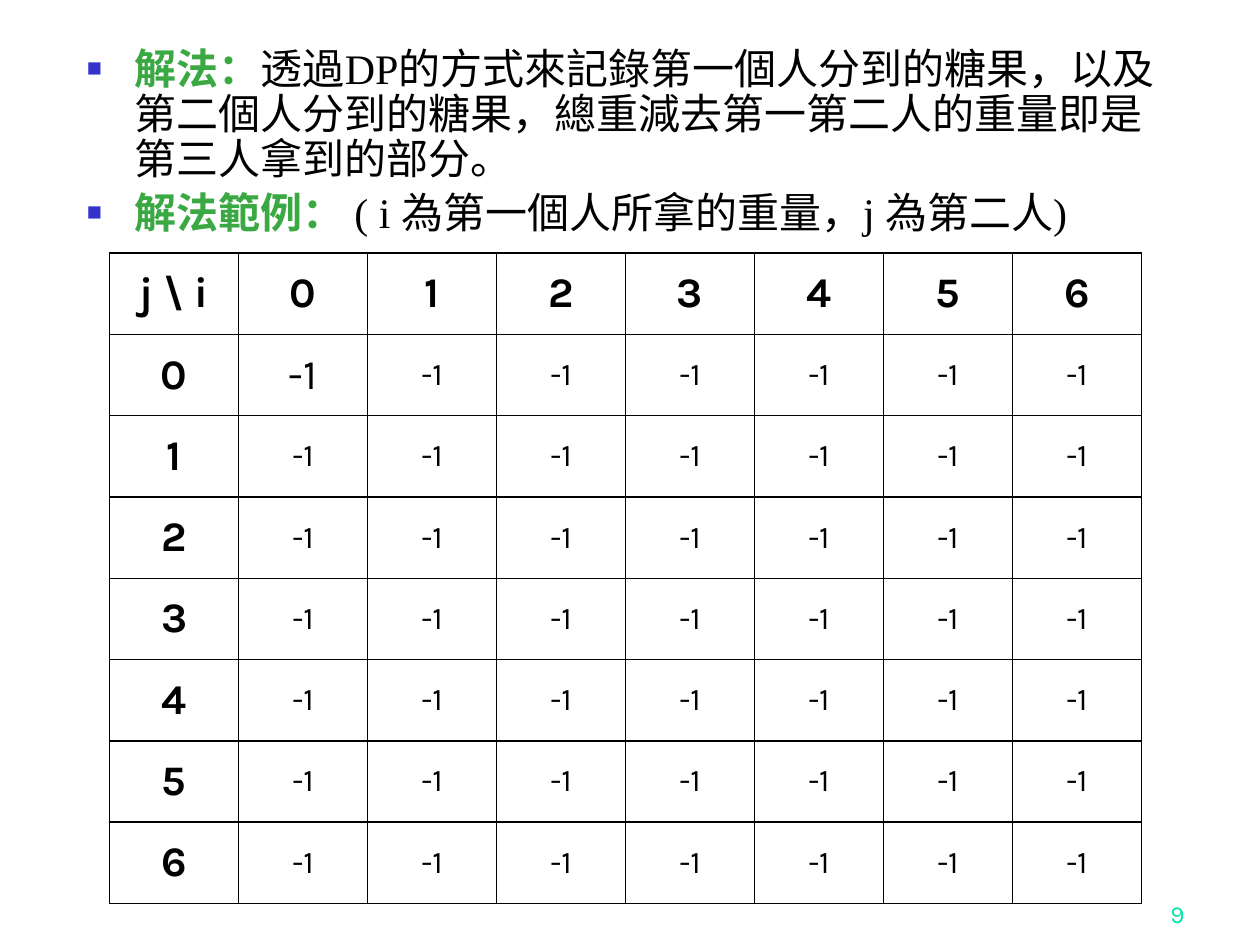
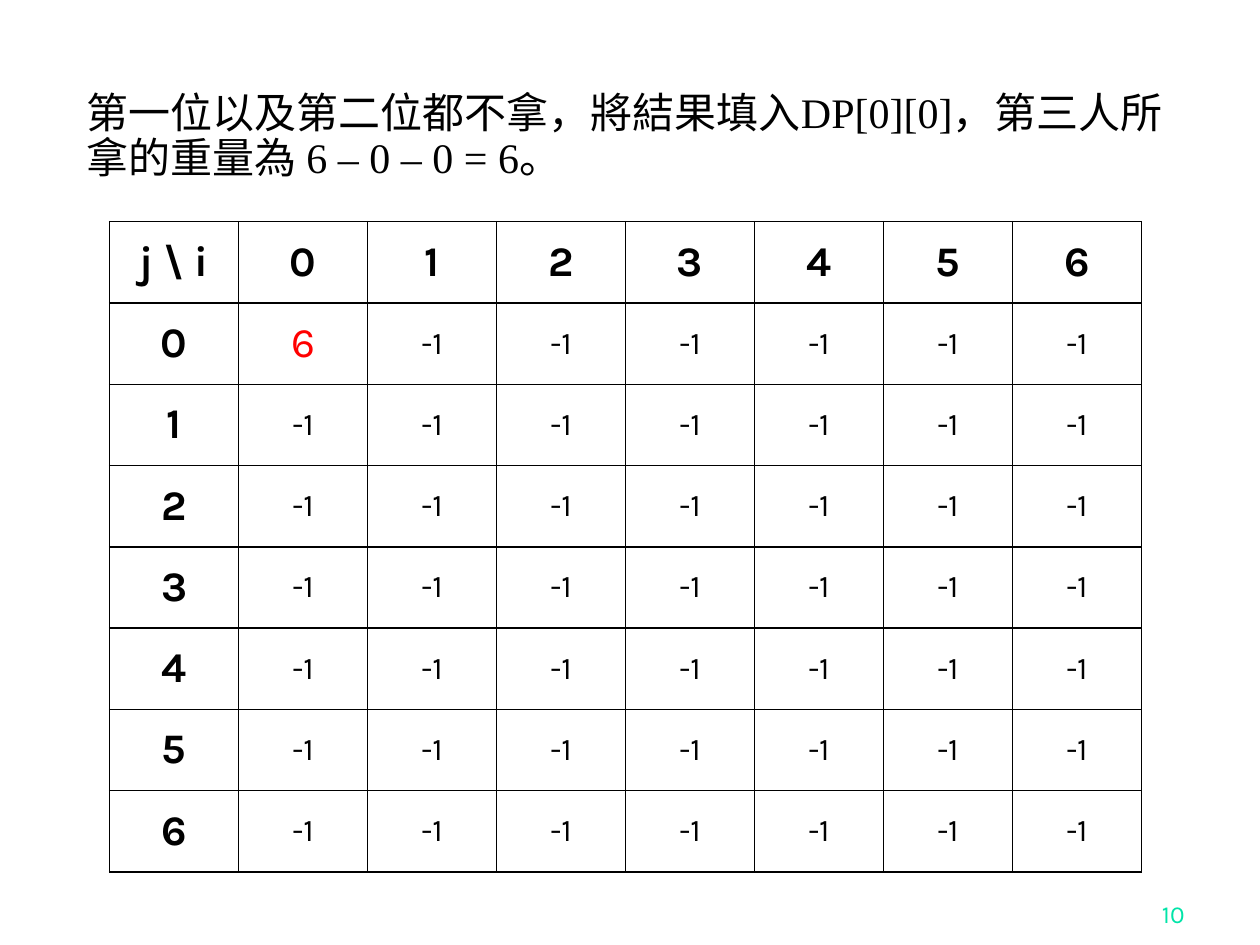
from lxml.etree import SubElement
from pptx import Presentation
from pptx.dml.color import RGBColor
from pptx.enum.text import MSO_ANCHOR, MSO_AUTO_SIZE, PP_ALIGN
from pptx.oxml import parse_xml
from pptx.oxml.ns import nsdecls, qn
from pptx.util import Inches, Pt

COLORS = {
    "text": "000000",
    "paper": "FFFFFF",
    "heading": "3BA943",
    "bullet": "3333CC",
    "page": "00E4A8",
    "result": "FF0000",
}
BODY_FONT, TABLE_FONT = "Times New Roman", "Karla"
BODY_SIZE, CELL_SIZE, PAGE_SIZE = 24, 18, 14

# Slide grid: 100 columns by 75 rows of square units
SLIDE_WIDTH, SLIDE_HEIGHT = Inches(10), Inches(7.5)
UNIT = SLIDE_WIDTH / 100
BODY_LEFT, BODY_WIDTH, BODY_BOTTOM = 5.9, 87.4, 67.5
TABLE_LEFT, TABLE_WIDTH, TABLE_HEIGHT = 8.7, 81.9, 51.6
PAGE_BOX = (74.2, 69.2, 20.8, 5)
WEIGHTS = range(7)
UNSET = "-1"


def grid(*units):
    return [round(unit * UNIT) for unit in units]


def add_text(paragraph, text, size=BODY_SIZE, font=BODY_FONT, color="text",
             bold=False, align=None):
    run = paragraph.add_run()
    run.text = text
    run.font.size = Pt(size)
    run.font.name = font
    run.font.bold = bold
    run.font.color.rgb = RGBColor.from_string(COLORS[color])
    if align is not None:
        paragraph.alignment = align


def set_bullet(paragraph, bulleted):
    properties = paragraph._p.get_or_add_pPr()
    indent = Inches(0.38) if bulleted else 0
    properties.set("marL", str(indent))
    properties.set("indent", str(-indent))
    if not bulleted:
        SubElement(properties, qn("a:buNone"))
        return
    bullet_color = SubElement(properties, qn("a:buClr"))
    SubElement(bullet_color, qn("a:srgbClr"), val=COLORS["bullet"])
    SubElement(properties, qn("a:buSzPct"), val="60000")
    SubElement(properties, qn("a:buFont"), typeface=BODY_FONT)
    SubElement(properties, qn("a:buChar"), char="■")


def fill_body(slide, top, items):
    """Write (heading, text) items; an item with a heading gets a bullet."""
    body = slide.placeholders[1]
    body.left, body.top, body.width, body.height = grid(
        BODY_LEFT, top, BODY_WIDTH, BODY_BOTTOM - top)
    frame = body.text_frame
    frame.auto_size = MSO_AUTO_SIZE.NONE
    frame.vertical_anchor = MSO_ANCHOR.TOP
    for index, (heading, text) in enumerate(items):
        paragraph = frame.add_paragraph() if index else frame.paragraphs[0]
        paragraph.line_spacing = 0.9
        paragraph.space_before = Pt(0.2 * BODY_SIZE if index else 0)
        set_bullet(paragraph, bool(heading))
        if heading:
            add_text(paragraph, heading, color="heading", bold=True)
        add_text(paragraph, text)


def add_page_number(slide, number):
    frame = slide.shapes.add_textbox(*grid(*PAGE_BOX)).text_frame
    frame.word_wrap = True
    frame.vertical_anchor = MSO_ANCHOR.BOTTOM
    add_text(frame.paragraphs[0], str(number), size=PAGE_SIZE, font=TABLE_FONT,
             color="page", align=PP_ALIGN.RIGHT)


def format_cell(cell, text, **text_format):
    cell.fill.solid()
    cell.fill.fore_color.rgb = RGBColor.from_string(COLORS["paper"])
    cell.vertical_anchor = MSO_ANCHOR.MIDDLE
    for index, side in enumerate("LRTB"):
        border = parse_xml(
            f'<a:ln{side} {nsdecls("a")} w="{Pt(1)}"><a:solidFill>'
            f'<a:srgbClr val="{COLORS["text"]}"/></a:solidFill></a:ln{side}>')
        cell._tc.get_or_add_tcPr().insert(index, border)
    add_text(cell.text_frame.paragraphs[0], text, font=TABLE_FONT,
             align=PP_ALIGN.CENTER, **text_format)


def add_weight_table(slide, top, first_value, first_color):
    """Draw the DP table, with every state unset except the first."""
    count = len(WEIGHTS) + 1
    table = slide.shapes.add_table(
        count, count, *grid(TABLE_LEFT, top, TABLE_WIDTH, TABLE_HEIGHT)).table
    table.first_row = table.horz_banding = False
    format_cell(table.cell(0, 0), "j \\ i", bold=True)
    for weight in WEIGHTS:
        format_cell(table.cell(0, weight + 1), str(weight), bold=True)
        format_cell(table.cell(weight + 1, 0), str(weight), bold=True)
        for other in WEIGHTS:
            cell = table.cell(weight + 1, other + 1)
            if weight == other == 0:
                format_cell(cell, first_value, color=first_color)
            else:
                format_cell(cell, UNSET, size=CELL_SIZE)


def add_step_slide(presentation, number, body_top, items, table_top,
                   first_value=UNSET, first_color="text"):
    slide = presentation.slides.add_slide(presentation.slide_layouts[1])
    title = slide.shapes.title._element
    title.getparent().remove(title)
    fill_body(slide, body_top, items)
    add_page_number(slide, number)
    add_weight_table(slide, table_top, first_value, first_color)


def main():
    presentation = Presentation()
    presentation.slide_width = SLIDE_WIDTH
    presentation.slide_height = SLIDE_HEIGHT
    add_step_slide(presentation, 9, 3.3, [
        ("解法：", "透過DP的方式來記錄第一個人分到的糖果，以及第二個人分到的糖果，"
                 "總重減去第一第二人的重量即是第三人拿到的部分。"),
        ("解法範例： ", "( i 為第一個人所拿的重量，j 為第二人)"),
    ], table_top=20.1)
    add_step_slide(presentation, 10, 6.8, [
        (None, "第一位以及第二位都不拿，將結果填入DP[0][0]，"
               "第三人所拿的重量為 6 – 0 – 0 = 6。"),
    ], table_top=17.6, first_value="6", first_color="result")
    presentation.save("out.pptx")


if __name__ == "__main__":
    main()
